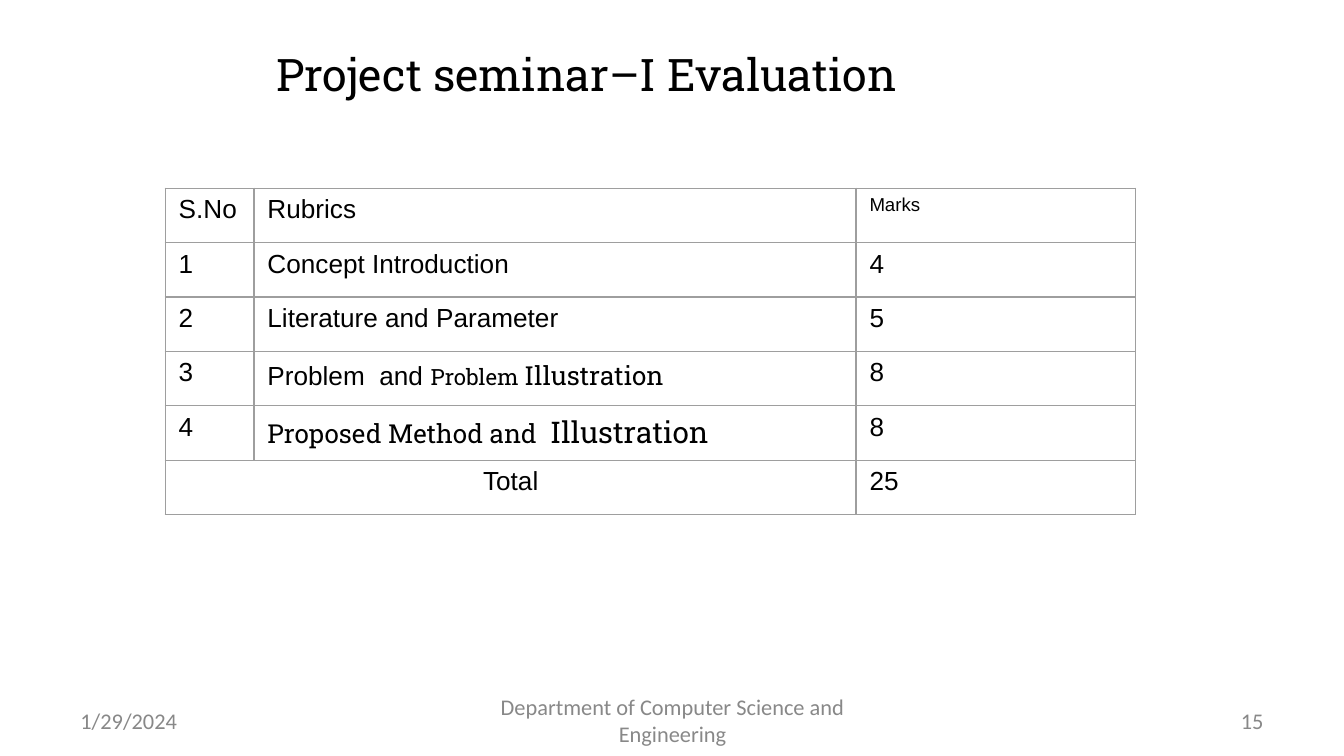
"""Build the project seminar evaluation slide with its marks table."""
from lxml.etree import SubElement
from pptx import Presentation
from pptx.dml.color import RGBColor
from pptx.enum.text import MSO_ANCHOR, PP_ALIGN
from pptx.oxml.ns import qn
from pptx.util import Inches, Pt

COLORS = {"text": "000000", "footer": "888888", "border": "9E9E9E"}
SLAB = "Roboto Slab"


def set_font(font, size, name, color="text"):
    font.size = Pt(size)
    font.name = name
    font.color.rgb = RGBColor.from_string(COLORS[color])


def add_label(text, box, align, size, name, color):
    frame = slide.shapes.add_textbox(*map(Inches, box)).text_frame
    frame.word_wrap = True
    frame.vertical_anchor = MSO_ANCHOR.MIDDLE
    paragraph = frame.paragraphs[0]
    paragraph.text = text
    paragraph.alignment = align
    set_font(paragraph.font, size, name, color)


prs = Presentation()
prs.slide_width = Inches(10)
prs.slide_height = prs.slide_width * 9 // 16
slide = prs.slides.add_slide(prs.slide_layouts[6])

add_label("Project seminar–I Evaluation", (1.02, 0.2, 6.69, 0.69),
          PP_ALIGN.CENTER, 24, SLAB, "text")

problem = [("Problem  and ", 14, "Arial"), ("Problem ", 12, SLAB), ("Illustration", 14, SLAB)]
method = [("Proposed Method and  ", 14, SLAB), ("Illustration", 16, SLAB)]
rubric_rows = [
    ("S.No", "Rubrics", [("Marks", 10, "Arial")]),
    ("1", "Concept Introduction", "4"),
    ("2", "Literature and Parameter", "5"),
    ("3", problem, "8"),
    ("4", method, "8"),
    ("Total", "", "25"),
]
column_widths = (0.66, 4.48, 2.08)
table_height = Inches(2.43)

marks_table = slide.shapes.add_table(
    len(rubric_rows), len(column_widths), Inches(1.23), Inches(1.4),
    Inches(sum(column_widths)), table_height).table
marks_table.first_row = marks_table.horz_banding = False
for column, width in zip(marks_table.columns, column_widths):
    column.width = Inches(width)

for r, entries in enumerate(rubric_rows):
    for c, entry in enumerate(entries):
        cell = marks_table.cell(r, c)
        paragraph = cell.text_frame.paragraphs[0]
        if isinstance(entry, str):
            paragraph.text = entry
            set_font(paragraph.font, 14, "Arial")
        else:
            for text, size, name in entry:
                run = paragraph.add_run()
                run.text = text
                set_font(run.font, size, name)
        properties = cell._tc.get_or_add_tcPr()
        for side in ("a:lnL", "a:lnR", "a:lnT", "a:lnB"):
            line = SubElement(properties, qn(side), w=str(Pt(0.75)))
            line_fill = SubElement(line, qn("a:solidFill"))
            SubElement(line_fill, qn("a:srgbClr"), val=COLORS["border"])
        cell.fill.background()

total_cell = marks_table.cell(len(rubric_rows) - 1, 0)
total_cell.merge(marks_table.cell(len(rubric_rows) - 1, 1))
total_cell.text_frame.paragraphs[0].alignment = PP_ALIGN.CENTER

for text, left, width, align in (
    ("1/29/2024", 0.5, 2.33, PP_ALIGN.LEFT),
    ("Department of Computer Science and Engineering", 3.42, 3.17, PP_ALIGN.CENTER),
    ("15", 7.17, 2.33, PP_ALIGN.RIGHT),
):
    add_label(text, (left, 5.21, width, 0.3), align, 12, "Calibri", "footer")

prs.save("out.pptx")
